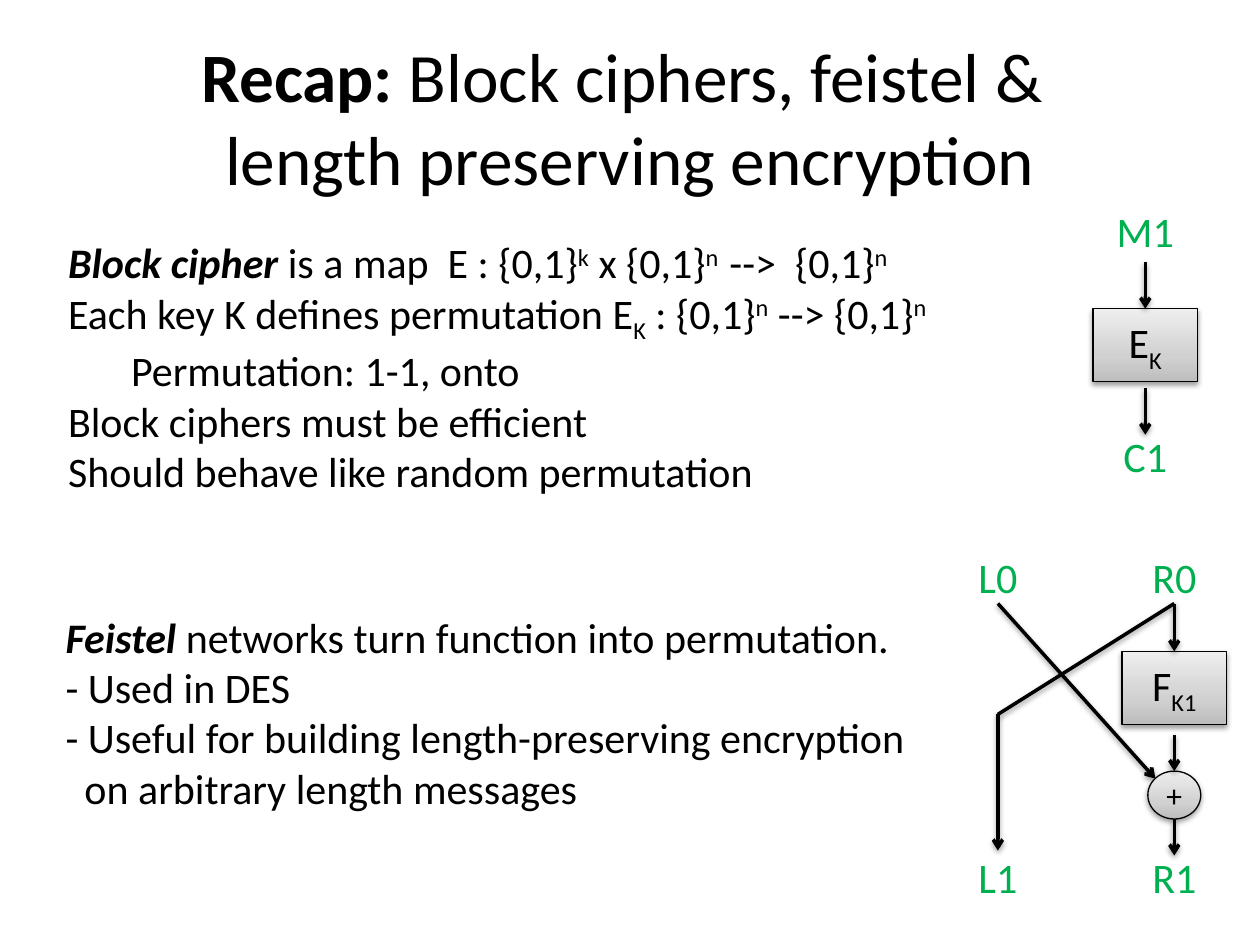
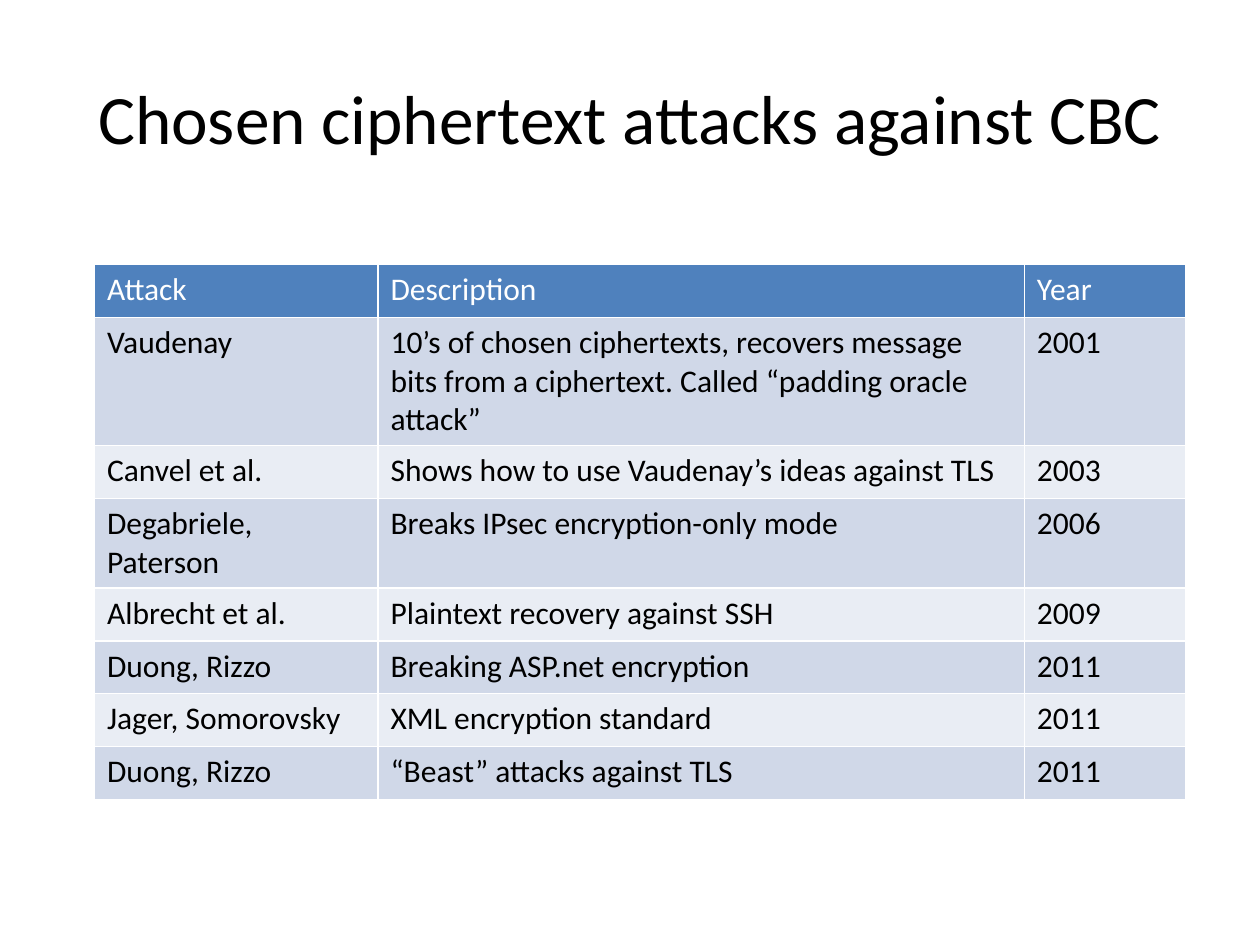
from copy import deepcopy

from pptx import Presentation, util as u
from pptx.dml.color import RGBColor
from pptx.enum import shapes, text
from pptx.oxml import parse_xml
from pptx.oxml.ns import nsdecls, qn

BLACK = RGBColor(0, 0, 0)
WHITE = RGBColor(255, 255, 255)
GREEN = RGBColor(0x00, 0xB0, 0x50)
BLUE = RGBColor(0x4F, 0x81, 0xBD)
BANDS = [RGBColor(0xD0, 0xD8, 0xE8), RGBColor(0xE9, 0xED, 0xF4)]
GRAYS = [(0, RGBColor(0xBD, 0xBD, 0xBD)), (0.35, RGBColor(0xD1, 0xD1, 0xD1)),
         (1, RGBColor(0xEE, 0xEE, 0xEE))]
FONT = "Calibri"
MID = text.PP_ALIGN.CENTER
LEFT = text.PP_ALIGN.LEFT
TERM = {"bold": True, "italic": True}
SUP = {"base": 30000}
SUB = {"base": -25000}
BREAK = None

MAPS = [
    (0, [("Block cipher ", TERM), "is a map  E : {0,1}", ("k", SUP), " x {0,1}",
         ("n  ", SUP), "-->  {0,1}", ("n", SUP)]),
    (0, ["Each key K defines permutation E", ("K", SUB), " : {0,1}", ("n", SUP),
         " --> {0,1}", ("n", SUP)]),
    (0.5, ["Permutation: 1-1, onto"]),
    (0, ["Block ciphers must be efficient"]),
    (0, ["Should behave like random permutation"]),
]
NETS = [
    (0, [("Feistel ", TERM), "networks turn function into permutation."]),
    (0, ["- Used in DES"]),
    (0, ["- Useful for building length-preserving encryption"]),
    (0.15, ["on arbitrary length messages"]),
]
ATTACKS = [
    ("Attack", "Description", "Year"),
    ("Vaudenay", "10’s of chosen ciphertexts, recovers message bits from a "
     "ciphertext. Called “padding oracle attack”", "2001"),
    ("Canvel et al.", "Shows how to use Vaudenay’s ideas against TLS", "2003"),
    ("Degabriele, Paterson", "Breaks IPsec encryption-only mode", "2006"),
    ("Albrecht et al.", "Plaintext recovery against SSH", "2009"),
    ("Duong, Rizzo", "Breaking ASP.net encryption", "2011"),
    ("Jager, Somorovsky", "XML encryption standard", "2011"),
    ("Duong, Rizzo", "“Beast” attacks against TLS", "2011"),
]


def apply(item, vals):
    for key, val in vals.items():
        setattr(item, key, val)


def place(shape, *box):
    apply(shape, dict(zip(("left", "top", "width", "height"), map(u.Inches, box))))


def add_runs(para, runs, size, color=BLACK, align=MID):
    para.alignment = align
    for part in runs:
        if part is BREAK:
            para.add_line_break()
            continue
        words, style = (part, {}) if isinstance(part, str) else part
        style = {"bold": False, "italic": False, **style}
        base = style.pop("base", None)
        run = para.add_run()
        run.text = words
        apply(run.font, {"name": FONT, "size": u.Pt(size), **style})
        run.font.color.rgb = color
        if base:
            run._r.get_or_add_rPr().set("baseline", str(base))


def shade(shape):
    shape._element.spPr.append(parse_xml(
        f'<a:effectLst {nsdecls("a")}><a:outerShdw blurRad="40000" dist="20000" '
        'dir="5400000" rotWithShape="0"><a:srgbClr val="000000">'
        '<a:alpha val="38000"/></a:srgbClr></a:outerShdw></a:effectLst>'))


def add_title(slide, runs):
    shape = slide.shapes.title
    place(shape, 0.5, 0.3, 9, 1.25)
    apply(shape.text_frame, {"auto_size": text.MSO_AUTO_SIZE.NONE,
                             "vertical_anchor": text.MSO_ANCHOR.MIDDLE})
    add_runs(shape.text_frame.paragraphs[0], runs, 39.6)


def add_body(shape, lines, *box):
    place(shape, *box)
    frame = shape.text_frame
    apply(frame, {"auto_size": text.MSO_AUTO_SIZE.NONE, "word_wrap": False})
    for i, (inset, runs) in enumerate(lines):
        para = frame.add_paragraph() if i else frame.paragraphs[0]
        add_runs(para, runs, 24, align=LEFT)
        para.space_before = u.Pt(0)
        props = para._p.get_or_add_pPr()
        props.set("marL", str(u.Inches(inset)))
        props.set("indent", "0")
        props.append(parse_xml(f'<a:buNone {nsdecls("a")}/>'))


def add_label(slide, words, x, y):
    shape = slide.shapes.add_textbox(*map(u.Inches, (x - 0.4, y, 0.8, 0.5)))
    shape.text_frame.word_wrap = True
    add_runs(shape.text_frame.paragraphs[0], [words], 24, GREEN)


def add_node(slide, runs, x, y, wide=0.83, high=0.58, size=24,
             kind=shapes.MSO_SHAPE.RECTANGLE):
    box = map(u.Inches, (x - wide / 2, y, wide, high))
    shape = slide.shapes.add_shape(kind, *box)
    shape.fill.gradient()
    shape.fill.gradient_angle = 90
    stops = shape._element.spPr.find(qn("a:gradFill")).find(qn("a:gsLst"))
    stops.append(deepcopy(stops[0]))
    for stop, (spot, gray) in zip(shape.fill.gradient_stops, GRAYS):
        stop.position = spot
        stop.color.rgb = gray
    shape.line.color.rgb = BLACK
    shape.line.width = u.Pt(0.75)
    shade(shape)
    frame = shape.text_frame
    apply(frame, {"vertical_anchor": text.MSO_ANCHOR.MIDDLE, "margin_left": 0,
                  "margin_right": 0, "margin_top": 0, "margin_bottom": 0})
    add_runs(frame.paragraphs[0], runs, size)


def add_wire(slide, x1, y1, x2, y2, head=True):
    wire = slide.shapes.add_connector(shapes.MSO_CONNECTOR.STRAIGHT,
                                      *map(u.Inches, (x1, y1, x2, y2)))
    wire.line.color.rgb = BLACK
    wire.line.width = u.Pt(2)
    if head:
        wire._element.spPr.find(qn("a:ln")).append(
            parse_xml(f'<a:tailEnd {nsdecls("a")} type="arrow"/>'))
    shade(wire)


def draw_cipher(slide, x, y):
    mid = x + 0.42
    add_node(slide, ["E", ("K", SUB)], mid, y + 0.87)
    for words, drop in (("M1", 0), ("C1", 1.79)):
        add_label(slide, words, mid, y + drop)
    for drop in (0.5, 1.5):
        add_wire(slide, mid, y + drop, mid, y + drop + 0.37)


def draw_feistel(slide, x, y):
    west, east = x + 0.34, x + 1.74
    top, bend = y + 0.46, y + 1.34
    for row, drop in enumerate((0, 2.38)):
        add_label(slide, f"L{row}", west, y + drop)
        add_label(slide, f"R{row}", east, y + drop)
    add_node(slide, ["F", ("K1", SUB)], east, y + 0.84)
    add_wire(slide, west, top, x + 1.59, y + 1.85)
    add_node(slide, ["+"], east, y + 1.79, 0.42, 0.38, 18, shapes.MSO_SHAPE.OVAL)
    add_wire(slide, east, top, west, bend, head=False)
    add_wire(slide, west, bend, west, y + 2.42)
    for start, end in ((0.46, 0.84), (1.5, 1.79), (2.17, 2.46)):
        add_wire(slide, east, y + start, east, y + end)


def add_edges(cell):
    props = cell._tc.get_or_add_tcPr()
    for i, side in enumerate(("lnL", "lnR", "lnT", "lnB")):
        props.insert(i, parse_xml(
            f'<a:{side} {nsdecls("a")} w="12700"><a:solidFill>'
            f'<a:srgbClr val="{WHITE}"/></a:solidFill></a:{side}>'))


def draw_table(slide, rows, x, y, widths, high):
    box = map(u.Inches, (x, y, sum(widths), high * len(rows)))
    table = slide.shapes.add_table(len(rows), len(widths), *box).table
    for col, wide in zip(table.columns, widths):
        col.width = u.Inches(wide)
    for r, row in enumerate(rows):
        table.rows[r].height = u.Inches(high)
        for c, words in enumerate(row):
            cell = table.cell(r, c)
            cell.fill.solid()
            cell.fill.fore_color.rgb = BANDS[(r - 1) % 2] if r else BLUE
            add_edges(cell)
            add_runs(cell.text_frame.paragraphs[0], [words], 18,
                     BLACK if r else WHITE, LEFT)


def build_recap(deck):
    slide = deck.slides.add_slide(deck.slide_layouts[3])
    add_title(slide, [("Recap:", {"bold": True}), " Block ciphers, feistel & ",
                      BREAK, "length preserving encryption"])
    add_body(slide.placeholders[1], MAPS, 0.44, 1.83, 7.17, 2.12)
    add_body(slide.placeholders[2], NETS, 0.42, 4.8, 6.96, 2.12)
    draw_cipher(slide, 8.67, 1.58)
    draw_feistel(slide, 7.58, 4.33)


def build_attacks(deck):
    slide = deck.slides.add_slide(deck.slide_layouts[5])
    add_title(slide, ["Chosen ciphertext attacks against CBC"])
    draw_table(slide, ATTACKS, 0.75, 2.1, (2.25, 5.13, 1.28), 0.42)


def main():
    deck = Presentation()
    apply(deck, {"slide_width": u.Inches(10), "slide_height": u.Inches(7.5)})
    build_recap(deck)
    build_attacks(deck)
    deck.save("out.pptx")


if __name__ == "__main__":
    main()
